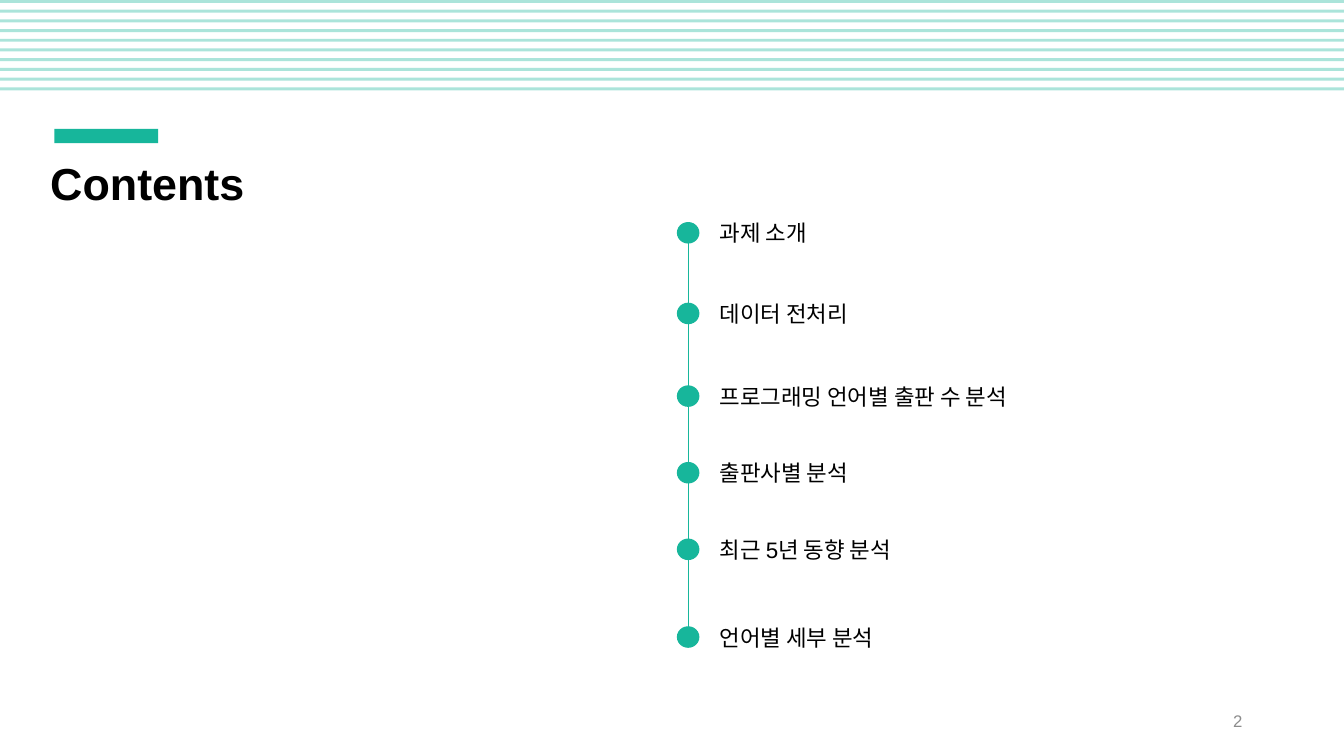
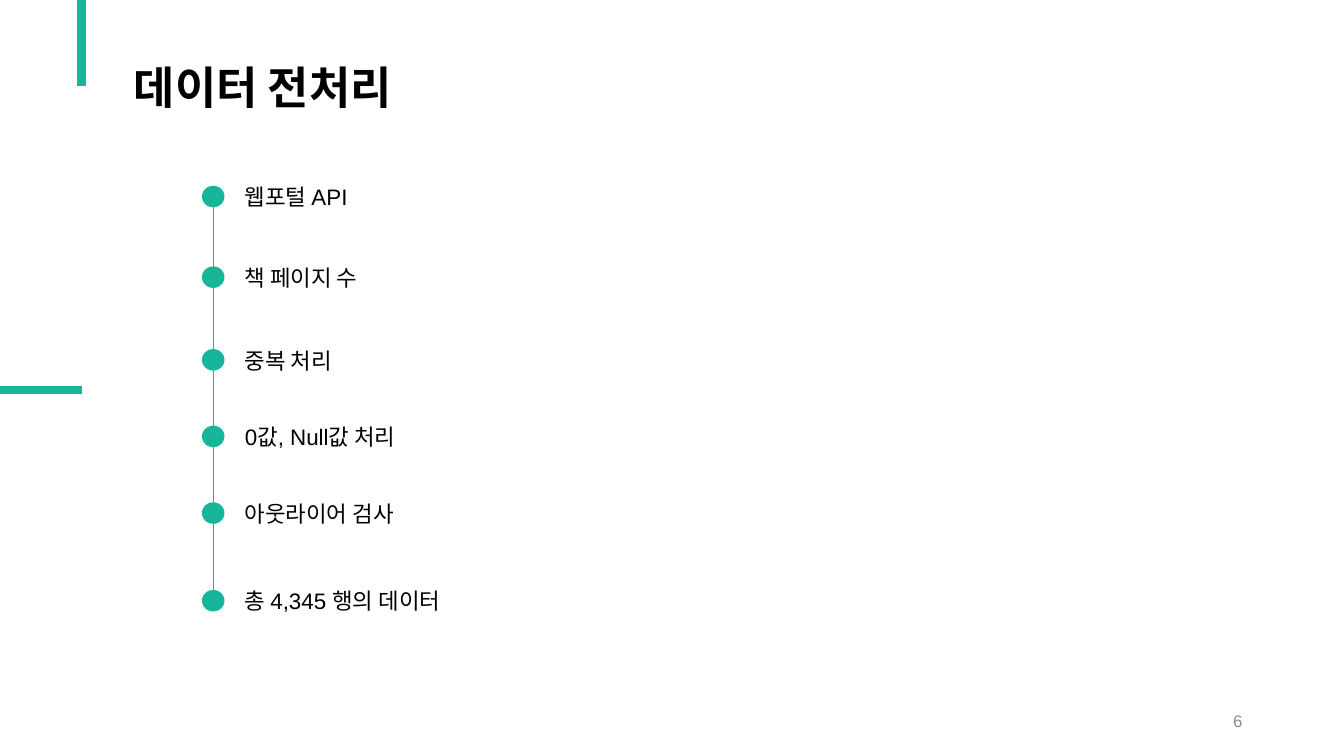
from pptx import Presentation
from pptx.util import Inches, Pt
from pptx.dml.color import RGBColor
from pptx.enum.shapes import MSO_SHAPE, MSO_CONNECTOR
from pptx.enum.text import PP_ALIGN, MSO_ANCHOR
from pptx.oxml.ns import qn
from lxml.etree import SubElement

TEAL, BLACK, GRAY = "17B69B", "000000", "8C8C8C"
FONT = "Arial"
WIDE, HIGH = 13.33, 7.5
STEPS = (0, 0.8, 1.62, 2.38, 3.14, 4.01)
DOT_W, DOT_H = 0.21, 0.2
BANDS, BAND_GAP = 10, 0.0963

CONTENTS = {
    "title": ("Contents", 0.4, 1.5, 2.14),
    "page": "2",
    "list": (6.72, 2.21),
    "items": ["과제 소개", "데이터 전처리", "프로그래밍 언어별 출판 수 분석",
              "출판사별 분석", "최근 5년 동향 분석", "언어별 세부 분석"],
}
CLEANING = {
    "title": ("데이터 전처리", 1.23, 0.54, 3.02),
    "page": "6",
    "list": (2.01, 1.85),
    "items": ["웹포털 API", "책 페이지 수", "중복 처리",
              "0값, Null값 처리", "아웃라이어 검사", "총 4,345 행의 데이터"],
}


def color(code):
    return RGBColor.from_string(code)


def add_text(slide, text, x, y, w, h, size, ink=BLACK, bold=False, wrap=True):
    box = slide.shapes.add_textbox(Inches(x), Inches(y), Inches(w), Inches(h))
    frame = box.text_frame
    frame.text = text
    frame.word_wrap = wrap
    font = frame.paragraphs[0].runs[0].font
    font.name, font.size, font.bold = FONT, Pt(size), bold
    font.color.rgb = color(ink)
    return frame


def add_block(slide, kind, x, y, w, h, line=0, alpha=None):
    shape = slide.shapes.add_shape(kind, Inches(x), Inches(y), Inches(w), Inches(h))
    shape.shadow.inherit = False
    shape.fill.solid()
    shape.fill.fore_color.rgb = color(TEAL)
    if line:
        shape.line.color.rgb = color(TEAL)
        shape.line.width = Pt(line)
    else:
        shape.line.fill.background()
    if alpha:
        tint = shape.fill._xPr.find(".//" + qn("a:srgbClr"))
        SubElement(tint, qn("a:alpha"), val=str(alpha * 1000))


def add_line(slide, x1, y1, x2, y2, width):
    line = slide.shapes.add_connector(
        MSO_CONNECTOR.STRAIGHT, Inches(x1), Inches(y1), Inches(x2), Inches(y2))
    line.line.color.rgb = color(TEAL)
    line.line.width = Pt(width)
    SubElement(line._element.spPr, qn("a:effectLst"))


def add_list(slide, items, x, y):
    mid = x + DOT_W / 2
    add_line(slide, mid, y + 0.13, mid, y + 4.1, 0.5)
    for item, step in zip(items, STEPS):
        add_block(slide, MSO_SHAPE.OVAL, x, y + step, DOT_W, DOT_H, line=1)
        add_text(slide, item, x + 0.32, y + step - 0.08, 4.34, 0.37, 16)


def add_page(deck, data):
    slide = deck.slides.add_slide(deck.slide_layouts[6])
    title, x, y, w = data["title"]
    add_text(slide, title, x, y, w, 0.64, 32, bold=True, wrap=False)
    add_list(slide, data["items"], *data["list"])
    foot = add_text(slide, data["page"], 9.42, 6.95, 3, 0.4, 12, GRAY)
    foot.vertical_anchor = MSO_ANCHOR.MIDDLE
    foot.paragraphs[0].alignment = PP_ALIGN.RIGHT
    return slide


def main():
    deck = Presentation()
    deck.slide_width, deck.slide_height = Inches(WIDE), Inches(HIGH)

    slide = add_page(deck, CONTENTS)
    for row in range(BANDS):
        add_block(slide, MSO_SHAPE.RECTANGLE, 0, row * BAND_GAP, WIDE, 0.03, alpha=36)
    add_block(slide, MSO_SHAPE.RECTANGLE, 0.54, 1.28, 1.03, 0.14)

    slide = add_page(deck, CLEANING)
    add_line(slide, 0, 3.87, 0.81, 3.87, 6)
    add_line(slide, 0.81, 0, 0.81, 0.85, 6)

    deck.save("out.pptx")


if __name__ == "__main__":
    main()
